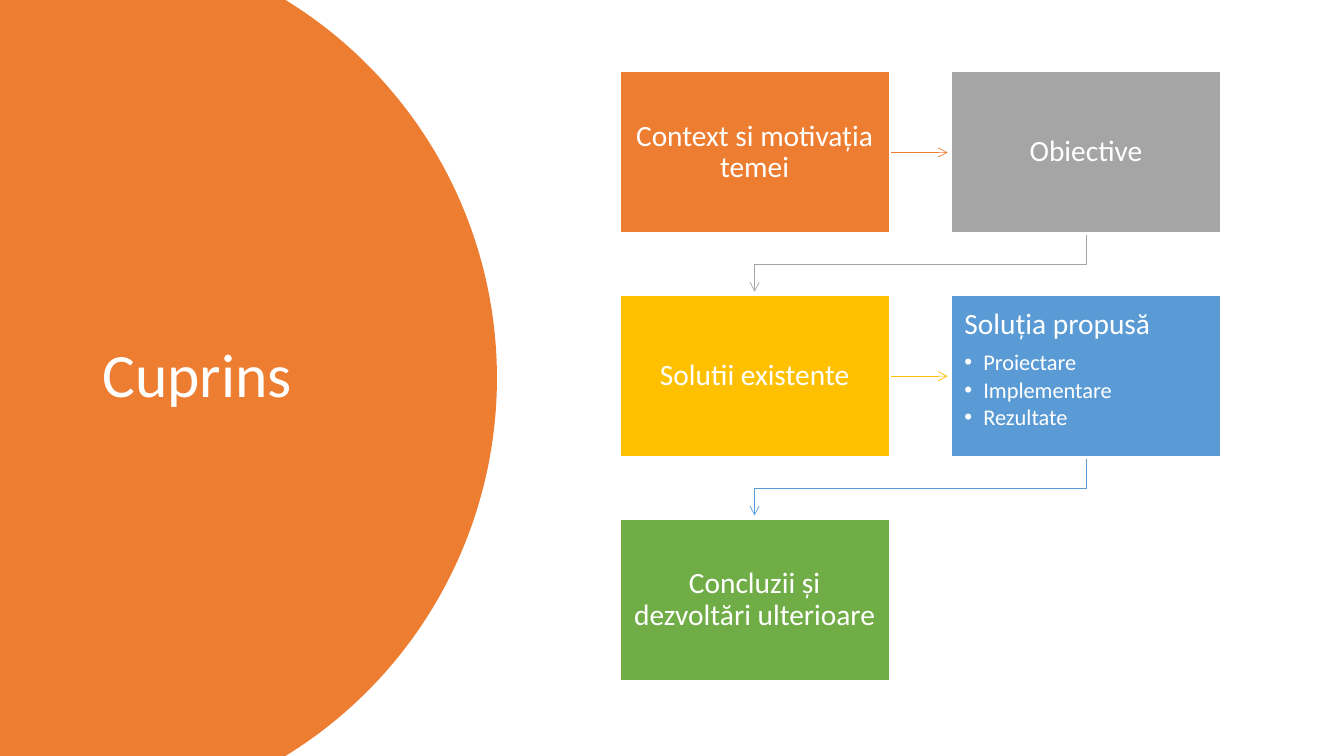
from dataclasses import dataclass
from math import asin, cos, sin

from lxml import etree
from pptx import Presentation
from pptx.dml.color import RGBColor
from pptx.enum.shapes import MSO_CONNECTOR, MSO_SHAPE
from pptx.enum.text import MSO_ANCHOR, PP_ALIGN
from pptx.oxml.ns import qn
from pptx.util import Pt

RECTANGLE = MSO_SHAPE.RECTANGLE
STRAIGHT = MSO_CONNECTOR.STRAIGHT
TOP, MIDDLE = MSO_ANCHOR.TOP, MSO_ANCHOR.MIDDLE
LEFT, CENTER = PP_ALIGN.LEFT, PP_ALIGN.CENTER

WHITE = RGBColor(0xFF, 0xFF, 0xFF)
ORANGE = RGBColor(0xED, 0x7D, 0x31)
GRAY = RGBColor(0xA5, 0xA5, 0xA5)
GOLD = RGBColor(0xFF, 0xC0, 0x00)
BLUE = RGBColor(0x5B, 0x9B, 0xD5)
GREEN = RGBColor(0x70, 0xAD, 0x47)

FONT = "Calibri"
PAGE_WIDTH, PAGE_HEIGHT = 960, 540
ARC_CENTER, ARC_RADIUS, ARC_STEPS = 38.2, 316.8, 120
GRID_LEFT, GRID_TOP = 442.8, 51.2
BOX_WIDTH, BOX_HEIGHT = 192.4, 115.4
COLUMN_STEP, ROW_STEP = 236.7, 159.8
COLUMNS = 2
ARROW_START, ARROW_END = 1.5, 2.6
BULLET_INDENT = 13.5

Point = tuple[float, float]


@dataclass(frozen=True)
class Step:
    text: str
    color: RGBColor
    bullets: tuple[str, ...] = ()


STEPS = [
    Step("Context si motivația temei", ORANGE),
    Step("Obiective", GRAY),
    Step("Solutii existente", GOLD),
    Step("Soluția propusă", BLUE, ("Proiectare", "Implementare", "Rezultate")),
    Step("Concluzii și dezvoltări ulterioare", GREEN),
]


def set_all(target, values: dict) -> None:
    for name, value in values.items():
        setattr(target, name, value)


def box_corner(index: int) -> Point:
    row, column = divmod(index, COLUMNS)
    return GRID_LEFT + column * COLUMN_STEP, GRID_TOP + row * ROW_STEP


def write_para(para, text: str, size: float, align, space_after: float = 0) -> None:
    set_all(para, {"alignment": align, "line_spacing": 0.9,
                   "space_before": Pt(0), "space_after": Pt(space_after)})
    span = para.add_run()
    span.text = text
    set_all(span.font, {"name": FONT, "size": Pt(size)})
    span.font.color.rgb = WHITE


def add_bullet(para) -> None:
    properties = para._p.get_or_add_pPr()
    properties.set("marL", str(Pt(BULLET_INDENT)))
    properties.set("indent", str(-Pt(BULLET_INDENT)))
    etree.SubElement(properties, qn("a:buFont")).set("typeface", "Arial")
    etree.SubElement(properties, qn("a:buChar")).set("char", "•")


def build_outline(shapes, points: list[Point], close: bool):
    corners = [(Pt(x), Pt(y)) for x, y in points]
    builder = shapes.build_freeform(*corners[0])
    builder.add_line_segments(corners[1:], close=close)
    outline = builder.convert_to_shape()
    outline.shadow.inherit = False
    return outline


def add_arrow(shapes, points: list[Point], color: RGBColor) -> None:
    if len(points) == 2:
        ends = [Pt(value) for point in points for value in point]
        arrow = shapes.add_connector(STRAIGHT, *ends)
        etree.SubElement(arrow._element.spPr, qn("a:effectLst"))
    else:
        arrow = build_outline(shapes, points, close=False)
        arrow.fill.background()
    arrow.line.color.rgb = color
    arrow.line.width = Pt(0.5)
    line = arrow.line._get_or_add_ln()
    etree.SubElement(line, qn("a:tailEnd")).set("type", "arrow")


def arrow_points(index: int) -> list[Point]:
    left, top = box_corner(index)
    next_left, next_top = box_corner(index + 1)
    if next_top == top:
        middle = top + BOX_HEIGHT / 2
        return [(left + BOX_WIDTH + ARROW_START, middle),
                (next_left - ARROW_END, middle)]
    start, end = left + BOX_WIDTH / 2, next_left + BOX_WIDTH / 2
    bottom = top + BOX_HEIGHT
    bend = (bottom + next_top) / 2
    return [(start, bottom + ARROW_START), (start, bend),
            (end, bend), (end, next_top - ARROW_END)]


def add_box(shapes, step: Step, corner: Point) -> None:
    left, top = corner
    box = shapes.add_shape(RECTANGLE, Pt(left), Pt(top), Pt(BOX_WIDTH), Pt(BOX_HEIGHT))
    box.shadow.inherit = False
    box.fill.solid()
    box.fill.fore_color.rgb = step.color
    box.line.color.rgb = WHITE
    box.line.width = Pt(1)
    frame = box.text_frame
    set_all(frame, {
        "word_wrap": True,
        "vertical_anchor": TOP if step.bullets else MIDDLE,
        "margin_left": Pt(9.4), "margin_right": Pt(9.4),
        "margin_top": Pt(9.9), "margin_bottom": Pt(9.9),
    })
    align = LEFT if step.bullets else CENTER
    write_para(frame.paragraphs[0], step.text, 21, align, 7.35)
    for bullet in step.bullets:
        para = frame.add_paragraph()
        para.level = 1
        write_para(para, bullet, 16, LEFT, 2.4)
        add_bullet(para)


deck = Presentation()
set_all(deck, {"slide_width": Pt(PAGE_WIDTH), "slide_height": Pt(PAGE_HEIGHT)})
page = deck.slides.add_slide(deck.slide_layouts[5])

# Round panel, placed behind the title
half_angle = asin(PAGE_HEIGHT / 2 / ARC_RADIUS)
angles = [half_angle * (2 * i / ARC_STEPS - 1) for i in range(ARC_STEPS + 1)]
arc = [(ARC_CENTER + ARC_RADIUS * cos(angle),
        PAGE_HEIGHT / 2 + ARC_RADIUS * sin(angle)) for angle in angles]
panel = build_outline(page.shapes, [(0, 0), *arc, (0, PAGE_HEIGHT)], close=True)
panel.fill.solid()
panel.fill.fore_color.rgb = ORANGE
panel.line.fill.background()
title = page.shapes.title
title._element.addprevious(panel._element)

# Title
set_all(title, {"left": Pt(66), "top": Pt(50.6), "width": Pt(232.4), "height": Pt(438.4)})
set_all(title.text_frame, {"word_wrap": True, "vertical_anchor": MIDDLE})
write_para(title.text_frame.paragraphs[0], "Cuprins", 44, LEFT)

# Steps, each with an arrow to the next
for index, step in enumerate(STEPS):
    if index < len(STEPS) - 1:
        add_arrow(page.shapes, arrow_points(index), step.color)
    add_box(page.shapes, step, box_corner(index))

deck.save("out.pptx")
